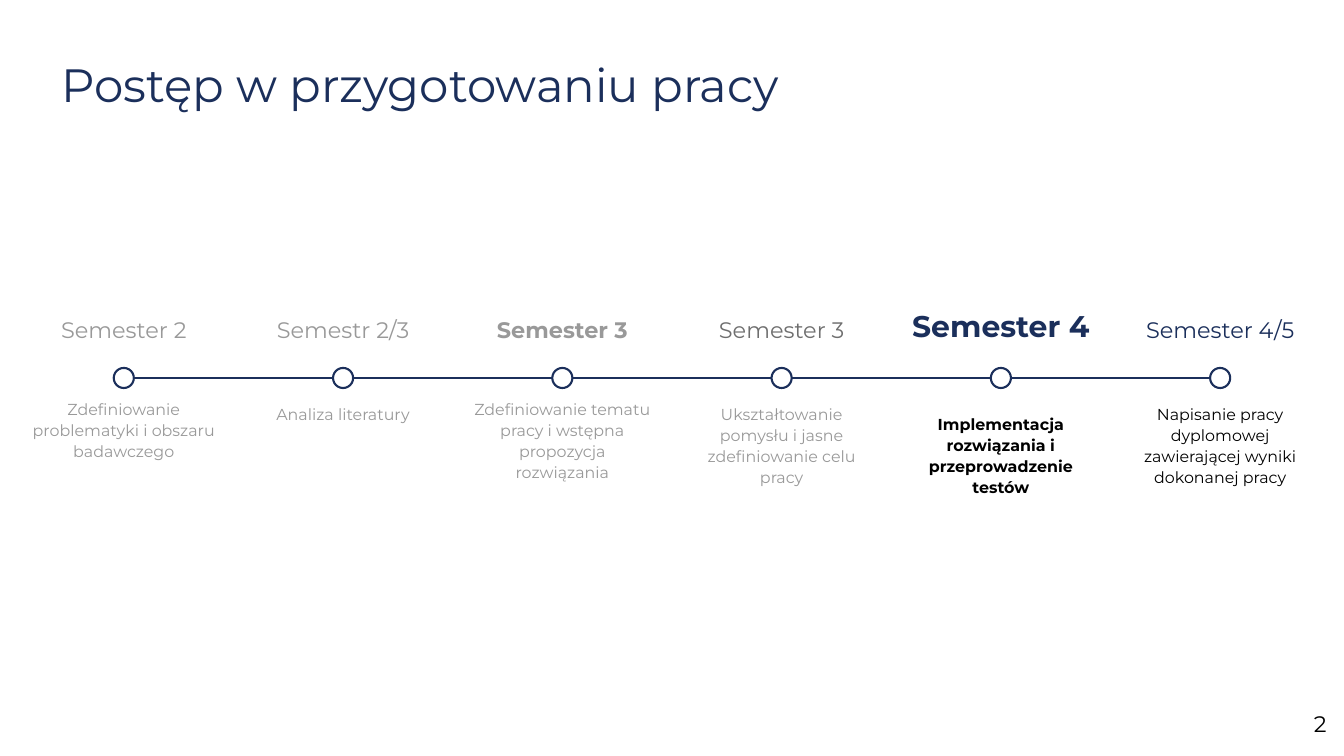
from pptx import Presentation
from pptx.dml.color import RGBColor
from pptx.enum.shapes import MSO_CONNECTOR, MSO_SHAPE
from pptx.enum.text import MSO_ANCHOR, MSO_AUTO_SIZE, PP_ALIGN
from pptx.oxml.ns import qn
from pptx.util import Cm, Pt
from lxml.etree import SubElement

# Content
TITLE = "Postęp w przygotowaniu pracy"
PAGE = "2"
# name, name style, task, task style, task top, task width
STEPS = [
    ("Semester 2", "done", "Zdefiniowanie problematyki i obszaru badawczego", "past", 15.04, 6.93),
    ("Semestr 2/3", "done", "Analiza literatury", "past", 15.24, 6.25),
    ("Semester 3", "key", "Zdefiniowanie tematu pracy i wstępna propozycja rozwiązania",
     "past", 15.04, 6.93),
    ("Semester 3", "last", "Ukształtowanie pomysłu i jasne zdefiniowanie celu pracy",
     "past", 15.24, 6.25),
    ("Semester 4", "now", "Implementacja rozwiązania i przeprowadzenie testów",
     "focus", 15.62, 6.25),
    ("Semester 4/5", "next", "Napisanie pracy dyplomowej zawierającej wyniki dokonanej pracy",
     "plan", 15.24, 6.25),
]

# Theme
NAVY, GREY, DARK, BLACK, WHITE = (
    RGBColor.from_string(c) for c in ("1B2F5B", "999999", "6E6E6E", "000000", "FFFFFF"))
FONT = "Montserrat"
STROKE = Pt(2.25)
THEME = {  # size, colour, bold
    "title": (50, NAVY, False),
    "done": (24, GREY, False),
    "key": (24, GREY, True),
    "last": (24, DARK, False),
    "now": (32, NAVY, True),
    "next": (24, NAVY, False),
    "past": (17, GREY, False),
    "focus": (17, BLACK, True),
    "plan": (17, BLACK, False),
    "page": (24, BLACK, False),
}

# Grid, in cm
FIRST, LAST, AXIS, DOT = 4.68, 46.12, 14.29, 0.76
GAP = (LAST - FIRST) / (len(STEPS) - 1)


def apply(obj, vals):
    for key, val in vals.items():
        setattr(obj, key, val)


def write(shape, text, style, align, anchor=MSO_ANCHOR.TOP, lead=1.1, pad=0):
    frame = shape.text_frame
    apply(frame, {"word_wrap": True, "auto_size": MSO_AUTO_SIZE.NONE,
                  "vertical_anchor": anchor})
    apply(frame, {f"margin_{side}": Cm(pad) for side in ("left", "top", "right", "bottom")})
    para = frame.paragraphs[0]
    apply(para, {"alignment": align, "line_spacing": lead, "space_before": Pt(0)})
    run = para.add_run()
    run.text = text
    size, color, bold = THEME[style]
    apply(run.font, {"name": FONT, "size": Pt(size), "bold": bold})
    run.font.color.rgb = color


def box(slide, left, top, width, height):
    return slide.shapes.add_textbox(Cm(left), Cm(top), Cm(width), Cm(height))


def stroke(shape):
    shape.line.color.rgb = NAVY
    shape.line.width = STROKE


def main():
    prs = Presentation()
    apply(prs, {"slide_width": Cm(50.8), "slide_height": Cm(28.58)})
    slide = prs.slides.add_slide(prs.slide_layouts[5])

    # Title
    title = slide.shapes.title
    apply(title, {"left": Cm(2.31), "top": Cm(1.9), "width": Cm(46.2), "height": Cm(2.31)})
    write(title, TITLE, "title", PP_ALIGN.LEFT)

    # Time axis
    axis = slide.shapes.add_connector(
        MSO_CONNECTOR.STRAIGHT, Cm(FIRST - DOT / 2), Cm(AXIS), Cm(LAST + DOT / 2), Cm(AXIS))
    stroke(axis)
    SubElement(axis._element.spPr, qn("a:effectLst"))

    # Steps: dot, name above, task below
    for i, (name, look, task, tone, top, width) in enumerate(STEPS):
        mid = FIRST + i * GAP
        dot = slide.shapes.add_shape(
            MSO_SHAPE.OVAL, Cm(mid - DOT / 2), Cm(AXIS - DOT / 2), Cm(DOT), Cm(DOT))
        dot.shadow.inherit = False
        dot.fill.solid()
        dot.fill.fore_color.rgb = WHITE
        stroke(dot)

        rise = 0.16 if look == "now" else 0
        write(box(slide, mid - 4.14, 11.15 - rise, 8.28, 2.39), name, look,
              PP_ALIGN.CENTER, MSO_ANCHOR.MIDDLE, 1.2)
        write(box(slide, mid - width / 2, top, width, 3.5), task, tone, PP_ALIGN.CENTER)

    # Page number
    write(box(slide, 47.55, 26.39, 3.05, 2.18), PAGE, "page", PP_ALIGN.RIGHT, lead=1.0, pad=0.46)

    prs.save("out.pptx")


if __name__ == "__main__":
    main()
